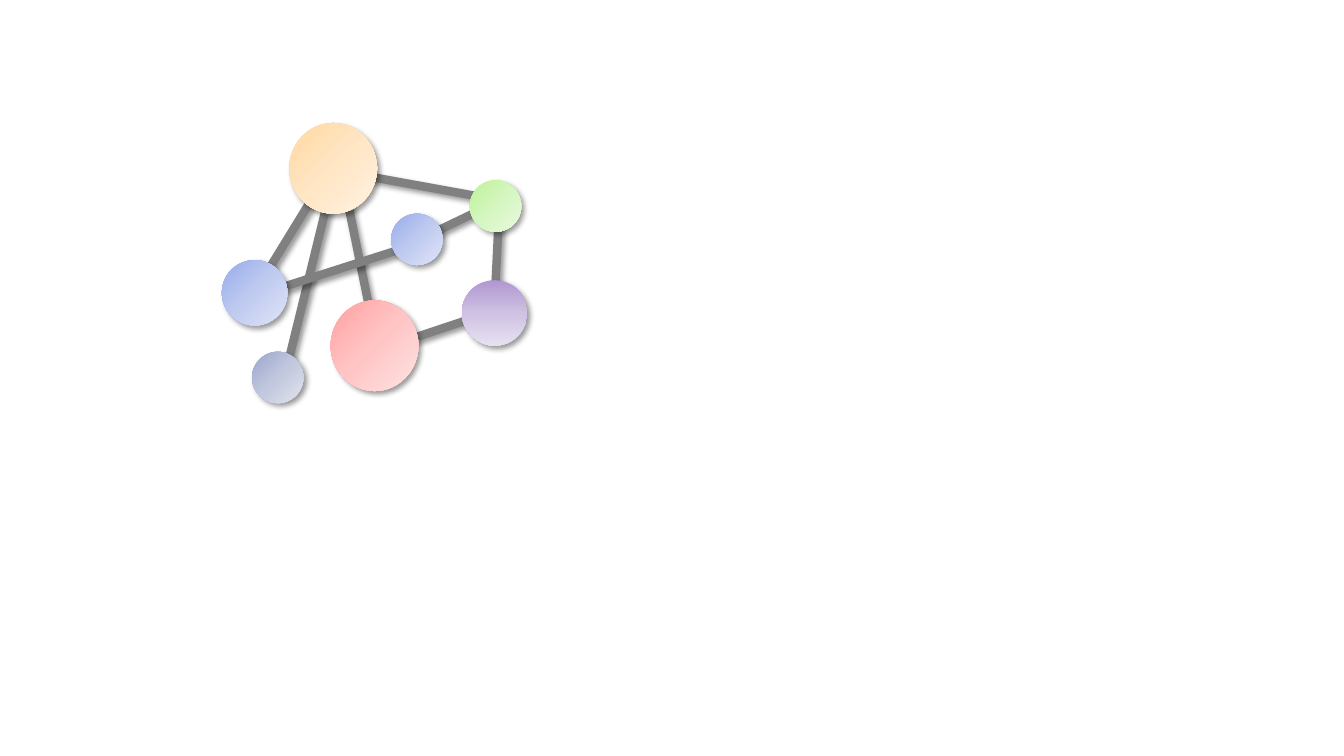
from copy import deepcopy

from pptx import Presentation
from pptx.dml.color import RGBColor
from pptx.enum.shapes import MSO_CONNECTOR, MSO_SHAPE
from pptx.oxml import parse_xml
from pptx.oxml.ns import nsdecls, qn
from pptx.util import Inches, Pt

COLUMNS, ROWS = 133.3, 75
CELL = Inches(0.1)

GRAY = RGBColor(0x80, 0x80, 0x80)
BLACK = RGBColor(0x00, 0x00, 0x00)
BLUE = [RGBColor(0x96, 0xAB, 0xEA), RGBColor(0xC0, 0xCB, 0xF0), RGBColor(0xE0, 0xE5, 0xF7)]
ORANGE = [RGBColor(0xFF, 0xD8, 0xA0), RGBColor(0xFF, 0xE6, 0xC5), RGBColor(0xFF, 0xF2, 0xE3)]
RED = [RGBColor(0xFF, 0xA0, 0xA0), RGBColor(0xFF, 0xC5, 0xC5), RGBColor(0xFF, 0xE3, 0xE3)]
GREEN = [RGBColor(0xBE, 0xF2, 0x97), RGBColor(0xD5, 0xF6, 0xC0), RGBColor(0xEA, 0xFA, 0xE0)]
SLATE = [RGBColor(0x99, 0xA5, 0xCC), RGBColor(0xC2, 0xC8, 0xDE), RGBColor(0xE1, 0xE4, 0xEE)]
PURPLE = [RGBColor(0xB1, 0x97, 0xD2), RGBColor(0xCE, 0xC1, 0xE2), RGBColor(0xE7, 0xE1, 0xF0)]

SMALL, MEDIUM, LARGE = (5.1, 5.1), (6.5, 6.5), (8.7, 9)
DIAGONAL, DOWNWARD = 315, 270

LINKS = [
    (25.2, 29.1, 32.8, 16.7),
    (28.2, 37.5, 33.3, 16.7),
    (37.4, 34.3, 33.8, 16.7),
    (41.4, 24.2, 26.1, 29.1),
    (49.2, 20.1, 41.5, 23.8),
    (49.2, 19.8, 34.3, 17.1),
    (49.5, 20.9, 49, 31.2),
    (36.9, 34.9, 49.5, 30.7),
]
NODES = [
    (22, 25.8, MEDIUM, BLUE, DIAGONAL),
    (28.7, 12.2, LARGE, ORANGE, DIAGONAL),
    (38.8, 21.2, SMALL, BLUE, DIAGONAL),
    (32.8, 29.8, LARGE, RED, DIAGONAL),
    (46.6, 17.9, SMALL, GREEN, DIAGONAL),
    (25, 34.9, SMALL, SLATE, DIAGONAL),
    (45.8, 27.8, MEDIUM, PURPLE, DOWNWARD),
]


def cells(*counts):
    return [round(count * CELL) for count in counts]


def set_formats(target, formats):
    for name, value in formats.items():
        setattr(target, name, value)


def add_shadow(element):
    properties = element.spPr
    for effects in properties.findall(qn("a:effectLst")):
        properties.remove(effects)
    properties.append(parse_xml(
        f'<a:effectLst {nsdecls("a")}>'
        f'<a:outerShdw blurRad="{Pt(4)}" dist="{Pt(3)}" dir="{45 * 60000}" '
        f'algn="tl" rotWithShape="0"><a:srgbClr val="{BLACK}">'
        '<a:alpha val="40000"/></a:srgbClr></a:outerShdw></a:effectLst>'
    ))


def fill_gradient(shape, colors, angle):
    shape.fill.gradient()
    shape.fill.gradient_angle = angle
    stop_list = shape._element.spPr.find(qn("a:gradFill")).find(qn("a:gsLst"))
    stop_list.insert(1, deepcopy(stop_list[0]))
    for index, (stop, color) in enumerate(zip(shape.fill.gradient_stops, colors)):
        stop.position = index / (len(colors) - 1)
        set_formats(stop.color, {"rgb": color})


def add_link(page, ends):
    link = page.shapes.add_connector(MSO_CONNECTOR.STRAIGHT, *cells(*ends))
    set_formats(link.line, {"width": Pt(6)})
    set_formats(link.line.color, {"rgb": GRAY})
    add_shadow(link._element)


def add_node(page, left, top, size, colors, angle):
    node = page.shapes.add_shape(MSO_SHAPE.OVAL, *cells(left, top, *size))
    fill_gradient(node, colors, angle)
    node.line.fill.background()
    add_shadow(node._element)


def main():
    deck = Presentation()
    width, height = cells(COLUMNS, ROWS)
    set_formats(deck, {"slide_width": width, "slide_height": height})
    page = deck.slides.add_slide(deck.slide_layouts[6])
    for ends in LINKS:
        add_link(page, ends)
    for node in NODES:
        add_node(page, *node)
    deck.save("out.pptx")


if __name__ == "__main__":
    main()
